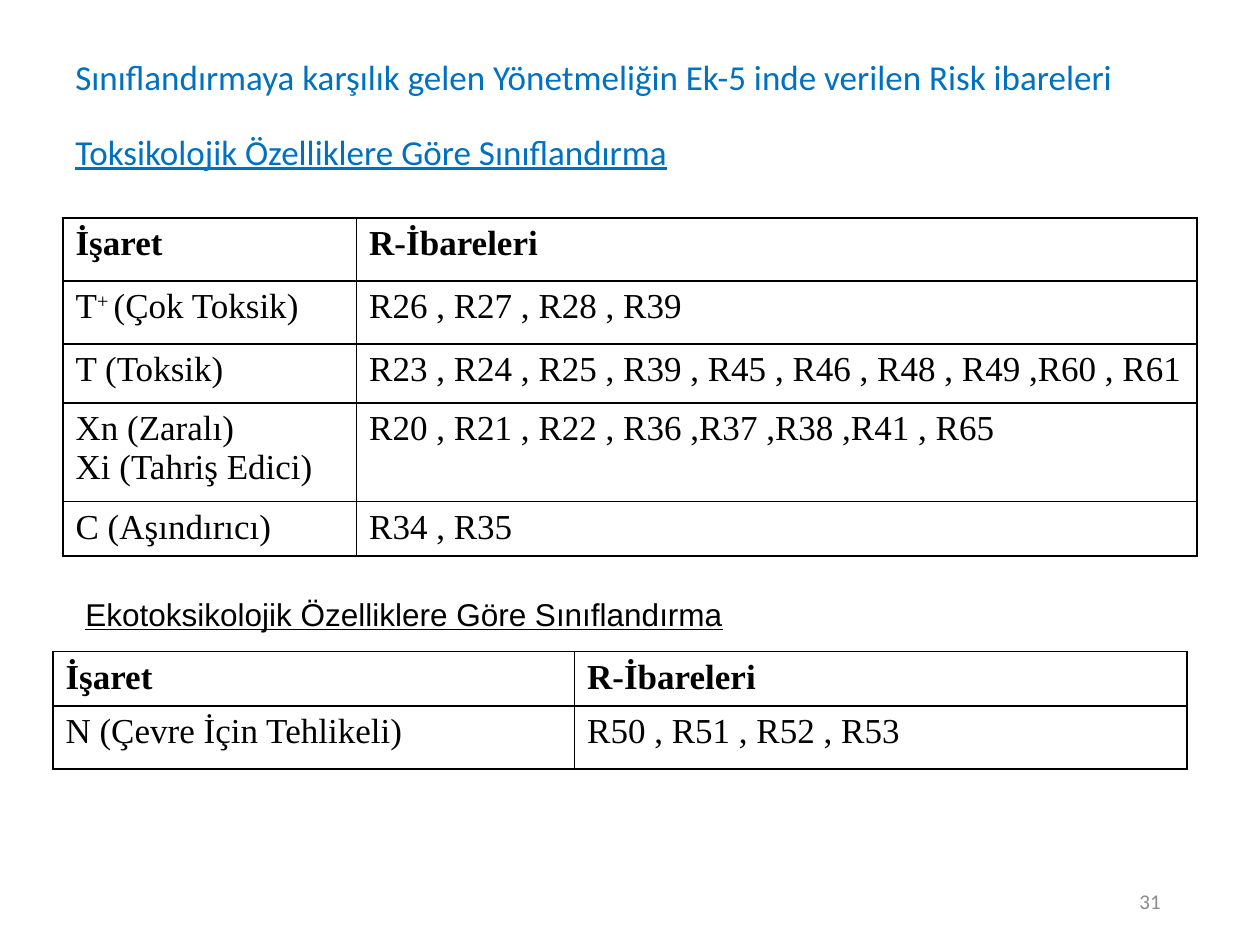
import pptx
import pptx.dml.color
import pptx.enum.text
import pptx.oxml
import pptx.oxml.ns
import pptx.util
from pptx.util import Inches

ALIGN = pptx.enum.text.PP_ALIGN
ANCHOR = pptx.enum.text.MSO_ANCHOR

TITLE = {"name": "Calibri", "size": pptx.util.Pt(20), "color": "0070C0"}
SUBTITLE = {"name": "Arial", "size": pptx.util.Pt(18), "color": "000000", "underline": True}
NUMBER = {"name": "Calibri", "size": pptx.util.Pt(12), "color": "8C8C8C"}
CELL = {"name": "Times New Roman", "size": pptx.util.Pt(20), "color": "000000", "bold": False}
HEADER = {**CELL, "bold": True}

TOXIC_ROWS = [
    ("İşaret", "R-İbareleri"),
    ("T^+ ^(Çok Toksik)", "R26 , R27 , R28 , R39"),
    ("T (Toksik)", "R23 , R24 , R25 , R39 , R45 , R46 , R48 , R49 ,R60 , R61"),
    ("Xn (Zaralı)\nXi (Tahriş Edici)", "R20 , R21 , R22 , R36 ,R37 ,R38 ,R41 , R65"),
    ("C (Aşındırıcı)", "R34 , R35"),
]
ECO_ROWS = [
    ("İşaret", "R-İbareleri"),
    ("N (Çevre İçin Tehlikeli)", "R50 , R51 , R52 , R53"),
]


def rgb(value):
    return pptx.dml.color.RGBColor.from_string(value)


def add_run(p, text, style):
    r = p.add_run()
    r.text = text
    for key, value in style.items():
        if key == "color":
            r.font.color.rgb = rgb(value)
        else:
            setattr(r.font, key, value)
    return r


def add_text(s, box, lines, anchor=ANCHOR.TOP, **paragraph):
    """Text box with one paragraph for each (text, style) line."""
    tf = s.shapes.add_textbox(*map(Inches, box)).text_frame
    tf.word_wrap = True
    tf.vertical_anchor = anchor
    for i, (text, style) in enumerate(lines):
        p = tf.add_paragraph() if i else tf.paragraphs[0]
        for key, value in paragraph.items():
            setattr(p, key, value)
        add_run(p, text, style)
    return tf


def add_title(s, box):
    lines = [
        ("Sınıflandırmaya karşılık gelen Yönetmeliğin Ek-5 inde verilen Risk ibareleri", TITLE),
        ("Toksikolojik Özelliklere Göre Sınıflandırma", {**TITLE, "underline": True}),
    ]
    tf = add_text(s, box, lines, ANCHOR.MIDDLE, line_spacing=0.9)
    tf.paragraphs[1].space_before = pptx.util.Pt(21)


def set_borders(cell):
    tcPr = cell._tc.get_or_add_tcPr()
    for side in "LRTB":
        tcPr.append(pptx.oxml.parse_xml(
            f'<a:ln{side} {pptx.oxml.ns.nsdecls("a")} w="12700"><a:solidFill>'
            f'<a:srgbClr val="000000"/></a:solidFill></a:ln{side}>'))


def fill_cell(cell, text, style):
    """Write a cell; text between ^ marks is superscript."""
    set_borders(cell)
    cell.fill.background()
    tf = cell.text_frame
    for i, line in enumerate(text.split("\n")):
        p = tf.add_paragraph() if i else tf.paragraphs[0]
        pPr = p._p.get_or_add_pPr()
        pPr.set("marL", str(Inches(0.38)))
        pPr.set("indent", str(Inches(-0.38)))
        for j, part in enumerate(line.split("^")):
            r = add_run(p, part, style)
            if j % 2:
                r._r.get_or_add_rPr().set("baseline", "30000")


def add_risk_table(s, left, top, widths, heights, rows):
    box = (left, top, sum(widths), sum(heights))
    table = s.shapes.add_table(len(rows), len(widths), *map(Inches, box)).table
    table.first_row = table.horz_banding = False
    for column, width in zip(table.columns, widths):
        column.width = Inches(width)
    for i, (row, height) in enumerate(zip(table.rows, heights)):
        row.height = Inches(height)
        for cell, text in zip(row.cells, rows[i]):
            fill_cell(cell, text, CELL if i else HEADER)


def main():
    prs = pptx.Presentation()
    prs.slide_width, prs.slide_height = Inches(10), Inches(7.5)
    s = prs.slides.add_slide(prs.slide_layouts[6])

    # Toxicological classification
    add_title(s, (0.5, 0.3, 9, 1.25))
    add_risk_table(s, 0.5, 1.73, (2.33, 6.67), (0.5, 0.5, 0.47, 0.78, 0.43), TOXIC_ROWS)

    # Ecotoxicological classification
    add_text(s, (0.58, 4.67, 8.67, 0.4),
             [("Ekotoksikolojik Özelliklere Göre Sınıflandırma", SUBTITLE)])
    add_risk_table(s, 0.42, 5.17, (4.14, 4.86), (0.43, 0.5), ECO_ROWS)

    # Slide number
    add_text(s, (7.06, 6.95, 2.25, 0.4), [("31", NUMBER)], ANCHOR.MIDDLE, alignment=ALIGN.RIGHT)

    prs.save("out.pptx")


if __name__ == "__main__":
    main()
